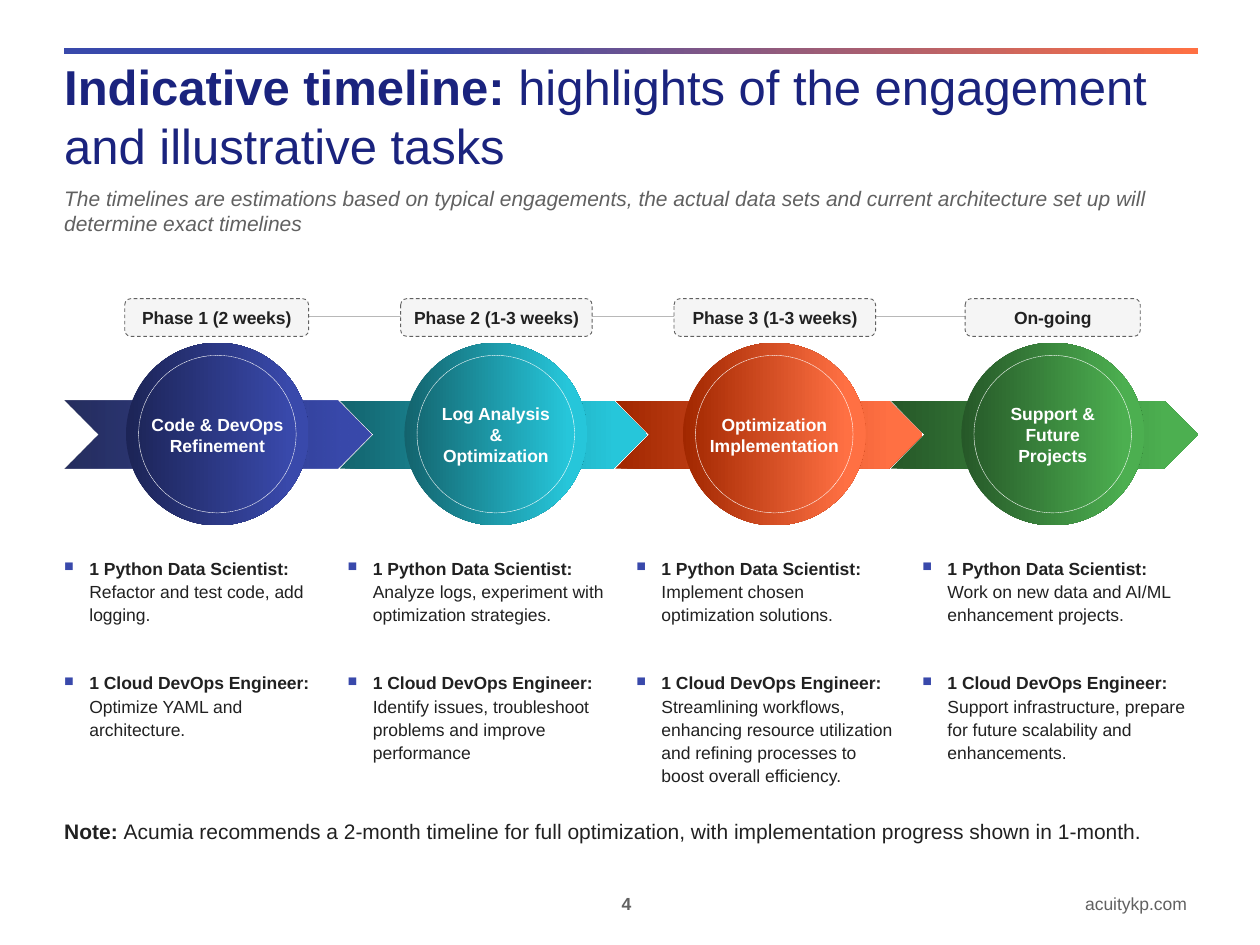
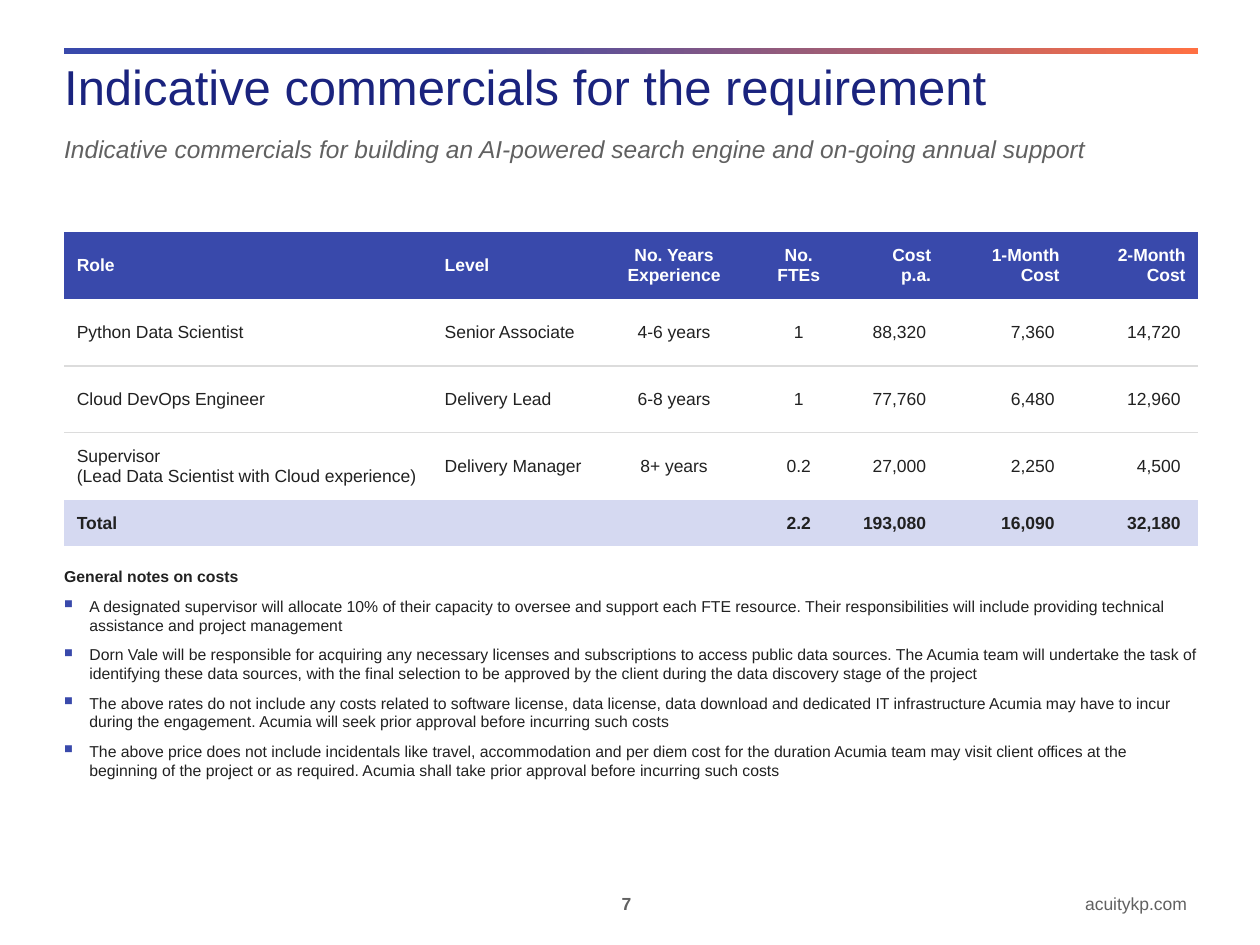
from dataclasses import dataclass

from lxml.etree import SubElement
from pptx import Presentation
from pptx.dml.color import RGBColor
from pptx.enum.dml import MSO_LINE
from pptx.enum.shapes import MSO_CONNECTOR, MSO_SHAPE
from pptx.enum.text import MSO_ANCHOR as Anchor, PP_ALIGN as Align
from pptx.oxml import parse_xml
from pptx.oxml.ns import nsdecls, qn
from pptx.util import Inches, Pt

NAVY = RGBColor(0x1A, 0x23, 0x7E)
BLUE = RGBColor(0x39, 0x49, 0xAB)
DARK_BLUE = RGBColor(0x1C, 0x24, 0x56)
TEAL = RGBColor(0x26, 0xC6, 0xDA)
DARK_TEAL = RGBColor(0x13, 0x63, 0x6D)
ORANGE = RGBColor(0xFF, 0x70, 0x43)
DARK_ORANGE = RGBColor(0xA1, 0x27, 0x00)
GREEN = RGBColor(0x4C, 0xAF, 0x50)
DARK_GREEN = RGBColor(0x26, 0x58, 0x28)
INK = RGBColor(0x21, 0x21, 0x21)
GRAY = RGBColor(0x61, 0x61, 0x61)
LINE_GRAY = RGBColor(0xB8, 0xB8, 0xB8)
PALE_GRAY = RGBColor(0xF5, 0xF5, 0xF5)
PALE_BLUE = RGBColor(0xD5, 0xD9, 0xF1)
WHITE = RGBColor(0xFF, 0xFF, 0xFF)

FONT = "Arial"
LEFT, WIDTH = 0.51, 9
NO_STYLE = "{2D5ABB26-0587-4C30-8999-92F81FD0307C}"


@dataclass(frozen=True)
class Style:
    size: float
    color: RGBColor = INK
    bold: bool = False
    italic: bool = False
    align: Align = Align.LEFT


@dataclass(frozen=True)
class Phase:
    badge: str
    badge_left: float
    badge_width: float
    name: str
    name_width: float
    dark: RGBColor
    light: RGBColor
    tasks_left: float
    scientist: str
    engineer: str
    chevron_opacity: int = 100


PHASES = [
    Phase("Phase 1 (2 weeks)", 0.99, 1.46, "Code & DevOps Refinement", 1.05,
          DARK_BLUE, BLUE, 0.51, "Refactor and test code, add logging.",
          "Optimize YAML and architecture.", 95),
    Phase("Phase 2 (1-3 weeks)", 3.18, 1.52, "Log Analysis & Optimization", 0.95,
          DARK_TEAL, TEAL, 2.76,
          "Analyze logs, experiment with optimization strategies.",
          "Identify issues, troubleshoot problems and improve performance"),
    Phase("Phase 3 (1-3 weeks)", 5.35, 1.6, "Optimization Implementation", 1.05,
          DARK_ORANGE, ORANGE, 5.05, "Implement chosen optimization solutions.",
          "Streamlining workflows, enhancing resource utilization and refining "
          "processes to boost overall efficiency."),
    Phase("On-going", 7.66, 1.39, "Support & Future Projects", 0.95,
          DARK_GREEN, GREEN, 7.32,
          "Work on new data and AI/ML enhancement projects.",
          "Support infrastructure, prepare for future scalability and enhancements."),
]

COLUMN_WIDTHS = [2.92, 1.32, 1.2, 0.78, 0.76, 1.02, 1]
COLUMN_ALIGNS = [Align.LEFT] * 2 + [Align.CENTER] * 2 + [Align.RIGHT] * 3
ROW_HEIGHTS = [0.51, 0.53, 0.53, 0.53, 0.36]
COSTS = [
    ["Role", "Level", "No. Years Experience", "No. FTEs", "Cost p.a.",
     "1-Month Cost", "2-Month Cost"],
    ["Python Data Scientist", "Senior Associate", "4-6 years", "1", "88,320",
     "7,360", "14,720"],
    ["Cloud DevOps Engineer", "Delivery Lead", "6-8 years", "1", "77,760",
     "6,480", "12,960"],
    ["Supervisor\n(Lead Data Scientist with Cloud experience)", "Delivery Manager",
     "8+ years", "0.2", "27,000", "2,250", "4,500"],
    ["Total", "", "", "2.2", "193,080", "16,090", "32,180"],
]
COST_NOTES = [
    "A designated supervisor will allocate 10% of their capacity to oversee and "
    "support each FTE resource. Their responsibilities will include providing "
    "technical assistance and project management",
    "Dorn Vale will be responsible for acquiring any necessary licenses and "
    "subscriptions to access public data sources. The Acumia team will undertake "
    "the task of identifying these data sources, with the final selection to be "
    "approved by the client during the data discovery stage of the project",
    "The above rates do not include any costs related to software license, data "
    "license, data download and dedicated IT infrastructure Acumia may have to "
    "incur during the engagement. Acumia will seek prior approval before incurring "
    "such costs",
    "The above price does not include incidentals like travel, accommodation and "
    "per diem cost for the duration Acumia team may visit client offices at the "
    "beginning of the project or as required. Acumia shall take prior approval "
    "before incurring such costs",
]


def write(paragraph, text: str, style: Style, lead: str = "") -> None:
    paragraph.alignment = style.align
    font = paragraph.font
    font.name, font.size, font.color.rgb = FONT, Pt(style.size), style.color
    font.italic = style.italic
    if lead:
        run = paragraph.add_run()
        run.text, run.font.bold = lead, True
    else:
        font.bold = style.bold
    for index, line in enumerate(text.split("\n")):
        if index:
            paragraph.add_line_break()
        paragraph.add_run().text = line


def set_frame(frame, anchor: Anchor, margins: tuple = (0, 0, 0, 0)) -> None:
    frame.word_wrap = True
    frame.vertical_anchor = anchor
    (frame.margin_left, frame.margin_top,
     frame.margin_right, frame.margin_bottom) = map(Inches, margins)


def add_text(slide, left: float, top: float, width: float, height: float,
             text: str, style: Style, lead: str = "", anchor: Anchor = Anchor.TOP,
             margins: tuple = (0, 0, 0, 0)):
    box = slide.shapes.add_textbox(*map(Inches, (left, top, width, height)))
    set_frame(box.text_frame, anchor, margins)
    write(box.text_frame.paragraphs[0], text, style, lead)
    return box.text_frame


def add_bullet(paragraph) -> None:
    properties = paragraph._p.get_or_add_pPr()
    properties.set("marL", str(Inches(0.2)))
    properties.set("indent", str(Inches(-0.2)))
    color = SubElement(properties, qn("a:buClr"))
    SubElement(color, qn("a:srgbClr"), val=str(BLUE))
    SubElement(properties, qn("a:buSzPct"), val="75000")
    SubElement(properties, qn("a:buChar"), char="■")


def add_plain_shape(slide, kind: MSO_SHAPE, left: float, top: float,
                    width: float, height: float):
    shape = slide.shapes.add_shape(kind, *map(Inches, (left, top, width, height)))
    shape.shadow.inherit = False
    shape.fill.background()
    shape.line.fill.background()
    return shape


def fill_gradient(shape, start: RGBColor, start_at: float, end: RGBColor,
                  end_at: float, start_opacity: int = 100) -> None:
    shape.fill.gradient()
    shape.fill.gradient_angle = 0
    stops = shape.fill.gradient_stops
    for stop, color, position in zip(stops, (start, end), (start_at, end_at)):
        stop.color.rgb, stop.position = color, position
    if start_opacity < 100:
        color = shape._element.spPr.find(".//" + qn("a:srgbClr"))
        SubElement(color, qn("a:alpha"), val=str(start_opacity * 1000))


def set_line(line, color: RGBColor, width: float, dash=None) -> None:
    line.color.rgb, line.width = color, Pt(width)
    if dash:
        line.dash_style = dash


def add_base_slide(presentation, number: int, title: str, title_lead: str = ""):
    slide = presentation.slides.add_slide(presentation.slide_layouts[6])
    band = add_plain_shape(slide, MSO_SHAPE.RECTANGLE, LEFT, 0.38, WIDTH, 0.05)
    fill_gradient(band, BLUE, 0.33, ORANGE, 1)
    add_text(slide, LEFT, 0.45, WIDTH, 0.95, title, Style(28, NAVY), title_lead)
    add_text(slide, 4.81, 7.06, 0.2, 0.23, str(number),
             Style(10, GRAY, bold=True, align=Align.RIGHT), margins=(0, 0.03, 0, 0.03))
    add_text(slide, 8.52, 7.09, 0.99, 0.17, "acuitykp.com",
             Style(10, GRAY, align=Align.CENTER))
    return slide


def add_chevron(slide, index: int, phase: Phase) -> None:
    width = 2.44
    left = LEFT + index * (WIDTH - width) / (len(PHASES) - 1)
    chevron = add_plain_shape(slide, MSO_SHAPE.CHEVRON, left, 3.18, width, 0.54)
    fill_gradient(chevron, phase.dark, 0, phase.light, 0.9, phase.chevron_opacity)


def add_medallion(slide, index: int, phase: Phase) -> None:
    left, top, size, inset = 1 + index * 2.21, 2.72, 1.45, 0.1
    disc = add_plain_shape(slide, MSO_SHAPE.OVAL, left, top, size, size)
    fill_gradient(disc, phase.dark, 0, phase.light, 0.9)
    ring = add_plain_shape(slide, MSO_SHAPE.OVAL, left + inset, top + inset,
                           size - 2 * inset, size - 2 * inset)
    set_line(ring.line, WHITE, 0.25, MSO_LINE.SQUARE_DOT)
    add_text(slide, left + (size - phase.name_width) / 2, 3.19, phase.name_width, 0.52,
             phase.name, Style(10, WHITE, bold=True, align=Align.CENTER),
             anchor=Anchor.MIDDLE)


def add_badge(slide, phase: Phase) -> None:
    badge = add_plain_shape(slide, MSO_SHAPE.ROUNDED_RECTANGLE, phase.badge_left, 2.37,
                            phase.badge_width, 0.3)
    badge.fill.solid()
    badge.fill.fore_color.rgb = PALE_GRAY
    set_line(badge.line, GRAY, 0.5, MSO_LINE.DASH)
    set_frame(badge.text_frame, Anchor.MIDDLE, (0.05, 0.05, 0.05, 0.05))
    write(badge.text_frame.paragraphs[0], phase.badge,
          Style(10, bold=True, align=Align.CENTER))


def add_tasks(slide, phase: Phase) -> None:
    box = slide.shapes.add_textbox(*map(Inches, (phase.tasks_left, 4.36, 2.2, 1.74)))
    frame = box.text_frame
    set_frame(frame, Anchor.TOP, (0, 0.05, 0.1, 0.05))
    engineer_paragraph = frame.add_paragraph()
    engineer_paragraph.space_before = Pt(23)
    tasks = [("1 Python Data Scientist: ", phase.scientist),
             ("1 Cloud DevOps Engineer: ", phase.engineer)]
    for paragraph, (role, task) in zip(frame.paragraphs, tasks):
        paragraph.line_spacing, paragraph.space_after = 1.1, Pt(3)
        add_bullet(paragraph)
        write(paragraph, task, Style(10), role)


def build_timeline(presentation) -> None:
    slide = add_base_slide(presentation, 4,
                           " highlights of the engagement and illustrative tasks",
                           "Indicative timeline:")
    add_text(slide, LEFT, 1.47, WIDTH, 0.4,
             "The timelines are estimations based on typical engagements, the actual "
             "data sets and current architecture set up will determine exact timelines",
             Style(12, GRAY, italic=True), anchor=Anchor.BOTTOM)
    connector = slide.shapes.add_connector(
        MSO_CONNECTOR.STRAIGHT, *map(Inches, (2.45, 2.51, 7.66, 2.51)))
    set_line(connector.line, LINE_GRAY, 0.25)
    SubElement(connector._element.spPr, qn("a:effectLst"))
    for index, phase in enumerate(PHASES):
        add_chevron(slide, index, phase)
    for index, phase in enumerate(PHASES):
        add_medallion(slide, index, phase)
        add_badge(slide, phase)
        add_tasks(slide, phase)
    add_text(slide, LEFT, 6.5, WIDTH, 0.2,
             "Acumia recommends a 2-month timeline for full optimization, with "
             "implementation progress shown in 1-month.",
             Style(12), "Note: ", Anchor.BOTTOM)


def add_bottom_border(cell) -> None:
    border = parse_xml(
        f'<a:lnB {nsdecls("a")} w="{Pt(0.75)}"><a:solidFill>'
        '<a:srgbClr val="DCDCDC"/></a:solidFill></a:lnB>')
    cell._tc.get_or_add_tcPr().insert(0, border)


def add_cost_table(slide) -> None:
    graphic_frame = slide.shapes.add_table(
        len(COSTS), len(COLUMN_WIDTHS),
        *map(Inches, (LEFT, 1.84, WIDTH, sum(ROW_HEIGHTS))))
    graphic_frame._element.xpath(".//a:tableStyleId")[0].text = NO_STYLE
    table = graphic_frame.table
    for column, width in zip(table.columns, COLUMN_WIDTHS):
        column.width = Inches(width)
    last = len(COSTS) - 1
    fills = {0: BLUE, last: PALE_BLUE}
    for row, values in enumerate(COSTS):
        table.rows[row].height = Inches(ROW_HEIGHTS[row])
        for column, (value, align) in enumerate(zip(values, COLUMN_ALIGNS)):
            cell = table.cell(row, column)
            right = 0.14 if row and align == Align.RIGHT else 0.1
            set_frame(cell, Anchor.MIDDLE, (0.1, 0.1, right, 0.1))
            write(cell.text_frame.paragraphs[0], value,
                  Style(10, INK if row else WHITE, bold=row in fills, align=align))
            if row in fills:
                cell.fill.solid()
                cell.fill.fore_color.rgb = fills[row]
            else:
                cell.fill.background()
            if 0 < row < last - 1:
                add_bottom_border(cell)
    table.cell(last, 0).merge(table.cell(last, 2))


def build_commercials(presentation) -> None:
    slide = add_base_slide(presentation, 7, "Indicative commercials for the requirement")
    add_text(slide, LEFT, 1.06, WIDTH, 0.24,
             "Indicative commercials for building an AI-powered search engine and "
             "on-going annual support",
             Style(14, GRAY, italic=True), anchor=Anchor.BOTTOM)
    add_cost_table(slide)
    frame = add_text(slide, LEFT, 4.5, WIDTH, 1.7, "General notes on costs",
                     Style(9, bold=True))
    frame.paragraphs[0].space_after = Pt(3)
    for note in COST_NOTES:
        paragraph = frame.add_paragraph()
        paragraph.space_before = paragraph.space_after = Pt(3)
        add_bullet(paragraph)
        write(paragraph, note, Style(9))


def main() -> None:
    presentation = Presentation()
    presentation.slide_width, presentation.slide_height = Inches(10), Inches(7.5)
    build_timeline(presentation)
    build_commercials(presentation)
    presentation.save("out.pptx")


if __name__ == "__main__":
    main()
